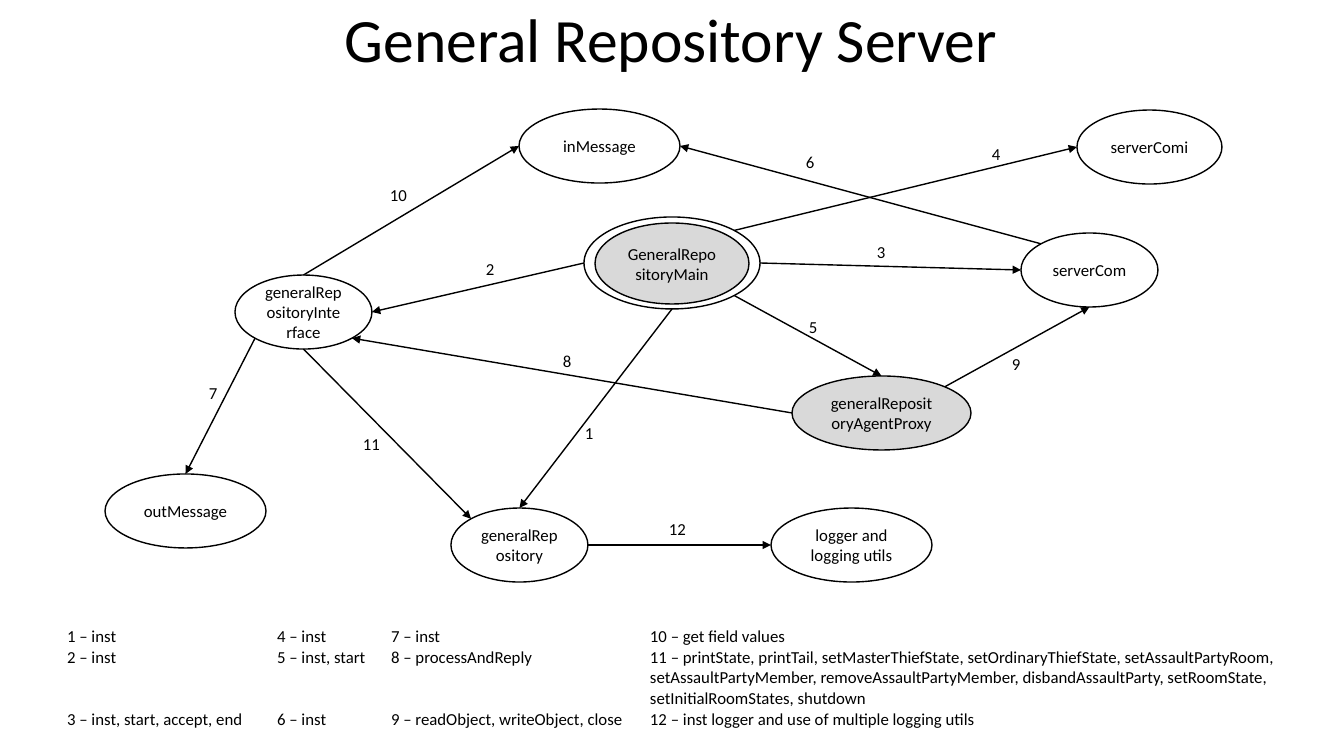
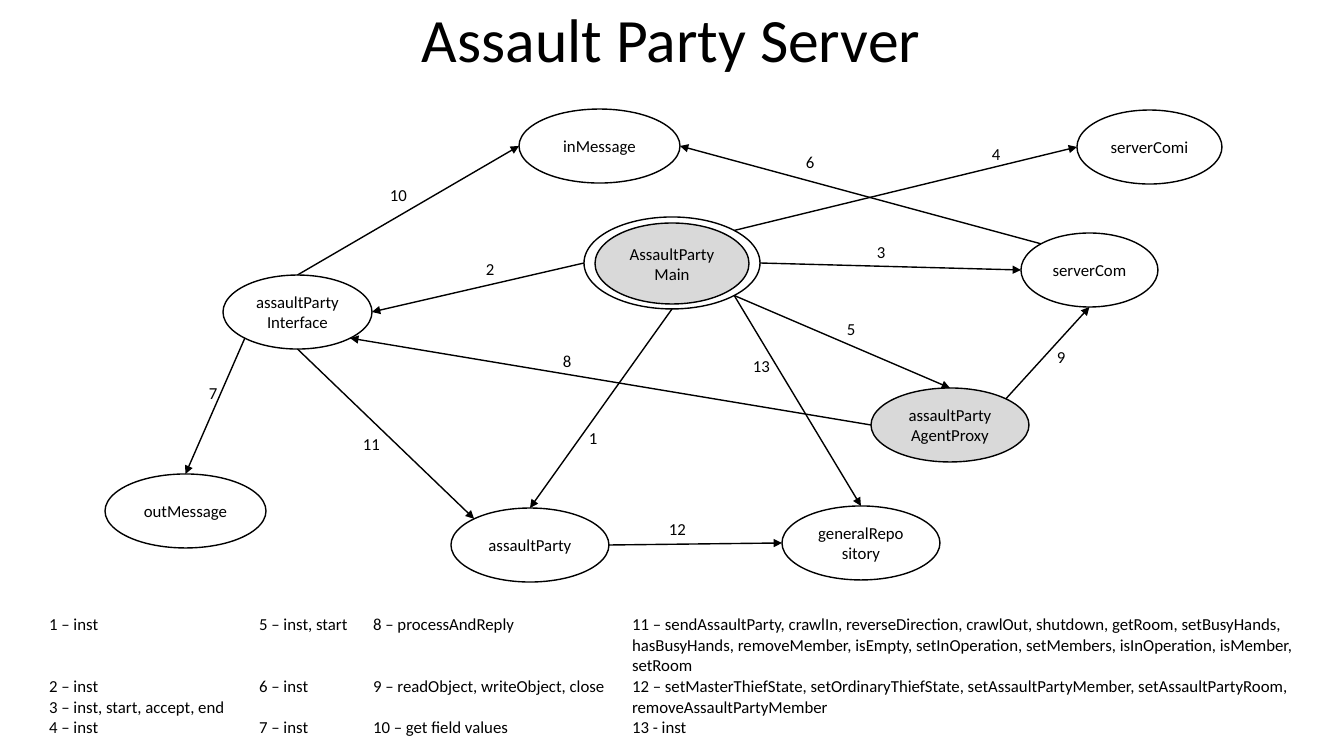
"""Build two slides that chart the classes of the repository and party servers."""
import math

from lxml import etree
from pptx import Presentation, util as u
from pptx.dml.color import RGBColor
from pptx.enum import shapes, text
from pptx.oxml.ns import qn

COLORS = {"ink": "000000", "paper": "FFFFFF", "main": "D9D9D9"}
INK, PAPER, GRAY = (RGBColor.from_string(value) for value in COLORS.values())
FONT = "Calibri"
NODE_HEIGHT = 74
COLUMN_WIDTHS = (210, 114, 259, 683)
TOP, TOP_LEFT, LEFT, BOTTOM_LEFT, BOTTOM, BOTTOM_RIGHT, RIGHT, TOP_RIGHT = range(8)


def px(length):
    return u.Emu(round(length * 914400 / 100.8))


def style(frame, size=12, align=text.PP_ALIGN.LEFT):
    for para in frame.paragraphs:
        para.alignment = align
        para.font.name, para.font.size = FONT, u.Pt(size)
        para.font.color.rgb = INK


SHARED_NODES = {
    "serverCom": ("serverCom", 1021, 233, 137),
    "serverComi": ("serverComi", 1077, 110, 145),
    "inMessage": ("inMessage", 519, 109, 161),
    "outMessage": ("outMessage", 105, 474, 161),
}
SHARED_LINKS = {
    1: ("main", BOTTOM, "store", TOP),
    2: ("main", LEFT, "interface", RIGHT),
    3: ("main", RIGHT, "serverCom", LEFT),
    4: ("main", TOP_RIGHT, "serverComi", LEFT),
    5: ("main", BOTTOM_RIGHT, "proxy", TOP),
    6: ("serverCom", TOP_LEFT, "inMessage", RIGHT),
    7: ("interface", BOTTOM_LEFT, "outMessage", TOP),
    8: ("proxy", LEFT, "interface", BOTTOM_RIGHT),
    9: ("proxy", TOP_RIGHT, "serverCom", BOTTOM),
    10: ("interface", TOP, "inMessage", LEFT),
    11: ("interface", BOTTOM, "store", TOP_LEFT),
    12: ("store", RIGHT, "target", LEFT),
}
SHARED_LABELS = {
    2: (476, 254), 3: (867, 237), 4: (982, 139), 6: (796, 147), 7: (199, 378),
    8: (553, 346), 10: (380, 180), 11: (353, 429), 12: (659, 514),
}
SERVERS = [
    {
        "title": "General Repository Server",
        "main": "GeneralRepositoryMain",
        "nodes": {
            "store": ("generalRepository", 451, 508, 137),
            "interface": ("generalRepositoryInterface", 235, 275, 137),
            "proxy": ("generalRepositoryAgentProxy", 792, 376, 179),
            "target": ("logger and logging utils", 771, 508, 161),
        },
        "links": {},
        "labels": {1: (575, 418), 5: (799, 312), 9: (1002, 349)},
        "table_at": (57, 627),
        "row_heights": (20, 62, 21),
        "rows": [
            ("1 – inst", "4 – inst", "7 – inst", "10 – get field values"),
            ("2 – inst", "5 – inst, start", "8 – processAndReply",
             "11 – printState, printTail, setMasterThiefState, "
             "setOrdinaryThiefState, setAssaultPartyRoom, setAssaultPartyMember, "
             "removeAssaultPartyMember, disbandAssaultParty, setRoomState, "
             "setInitialRoomStates, shutdown"),
            ("3 – inst, start, accept, end", "6 – inst",
             "9 – readObject, writeObject, close",
             "12 – inst logger and use of multiple logging utils"),
        ],
    },
    {
        "title": "Assault Party Server",
        "main": "AssaultPartyMain",
        "nodes": {
            "store": ("assaultParty", 451, 508, 158),
            "interface": ("assaultPartyInterface", 223, 275, 149),
            "proxy": ("assaultPartyAgentProxy", 871, 388, 158),
            "target": ("generalRepository", 782, 506, 158),
        },
        "links": {13: ("main", BOTTOM_RIGHT, "target", TOP)},
        "labels": {1: (579, 423), 5: (837, 314), 9: (1047, 342), 13: (743, 351)},
        "table_at": (39, 615),
        "row_heights": (62, 41, 21),
        "rows": [
            ("1 – inst", "5 – inst, start", "8 – processAndReply",
             "11 – sendAssaultParty, crawlIn, reverseDirection, crawlOut, "
             "shutdown, getRoom, setBusyHands, hasBusyHands, removeMember, "
             "isEmpty, setInOperation, setMembers, isInOperation, isMember, "
             "setRoom"),
            ("2 – inst\n3 – inst, start, accept, end", "6 – inst",
             "9 – readObject, writeObject, close",
             "12 – setMasterThiefState, setOrdinaryThiefState, "
             "setAssaultPartyMember, setAssaultPartyRoom, "
             "removeAssaultPartyMember"),
            ("4 – inst", "7 – inst", "10 – get field values", "13 - inst"),
        ],
    },
]

deck = Presentation()
deck.slide_width, deck.slide_height = px(1344), px(756)

for server in SERVERS:
    page = deck.slides.add_slide(deck.slide_layouts[5])
    title = page.shapes.title
    title.left, title.top, title.width, title.height = map(px, (-1, -30, 1345, 146))
    title.text_frame.text = server["title"]
    title.text_frame.vertical_anchor = text.MSO_ANCHOR.MIDDLE
    style(title.text_frame, 44, text.PP_ALIGN.CENTER)
    title.text_frame.paragraphs[0].line_spacing = 0.9

    main_group = page.shapes.add_group_shape()
    ellipses = [
        ("main", main_group.shapes, "", (584, 217, 176, 92), PAPER),
        ("core", main_group.shapes, server["main"], (595, 223, 154, 81), GRAY),
    ]
    for role, (name, left, top, width) in (SHARED_NODES | server["nodes"]).items():
        fill = GRAY if role == "proxy" else PAPER
        ellipses.append((role, page.shapes, name, (left, top, width, NODE_HEIGHT), fill))
    nodes = {}
    for role, parent, name, area, fill in ellipses:
        node = parent.add_shape(shapes.MSO_SHAPE.OVAL, *map(px, area))
        node.shadow.inherit = False
        node.fill.solid()
        node.fill.fore_color.rgb = fill
        node.line.color.rgb, node.line.width = INK, u.Pt(1)
        node.text_frame.text = name
        node.text_frame.word_wrap = True
        node.text_frame.vertical_anchor = text.MSO_ANCHOR.MIDDLE
        style(node.text_frame, align=text.PP_ALIGN.CENTER)
        nodes[role] = node

    for source, source_site, target, target_site in (SHARED_LINKS | server["links"]).values():
        ends = []
        for role, site in ((source, source_site), (target, target_site)):
            node, angle = nodes[role], math.radians(90 + 45 * site)
            ends.append(round(node.left + node.width / 2 * (1 + math.cos(angle))))
            ends.append(round(node.top + node.height / 2 * (1 - math.sin(angle))))
        arrow = page.shapes.add_connector(shapes.MSO_CONNECTOR.STRAIGHT, *ends)
        arrow.line.color.rgb, arrow.line.width = INK, u.Pt(1)
        outline = arrow.line._get_or_add_ln()
        etree.SubElement(outline, qn("a:tailEnd"), type="triangle")
        etree.SubElement(arrow.element.spPr, qn("a:effectLst"))
        glue = arrow.element.find(".//" + qn("p:cNvCxnSpPr"))
        for tag, role, site in (("a:stCxn", source, source_site), ("a:endCxn", target, target_site)):
            etree.SubElement(glue, qn(tag), id=str(nodes[role].shape_id), idx=str(site))

    for number, (left, top) in (SHARED_LABELS | server["labels"]).items():
        width = 34 if number < 9 else 38
        label = page.shapes.add_textbox(*map(px, (left, top, width, 30)))
        label.text_frame.text = str(number)
        label.text_frame.word_wrap = True
        label.text_frame.auto_size = text.MSO_AUTO_SIZE.SHAPE_TO_FIT_TEXT
        style(label.text_frame)

    heights = server["row_heights"]
    area = (*server["table_at"], sum(COLUMN_WIDTHS), sum(heights))
    legend = page.shapes.add_table(len(heights), len(COLUMN_WIDTHS), *map(px, area)).table
    legend.first_row = legend.horz_banding = False
    for column, width in zip(legend.columns, COLUMN_WIDTHS):
        column.width = px(width)
    for row, height, entries in zip(legend.rows, heights, server["rows"]):
        row.height = px(height)
        for cell, entry in zip(row.cells, entries):
            cell.text = entry
            cell.margin_top = cell.margin_bottom = 0
            cell.fill.solid()
            cell.fill.fore_color.rgb = PAPER
            style(cell.text_frame)

deck.save("out.pptx")
